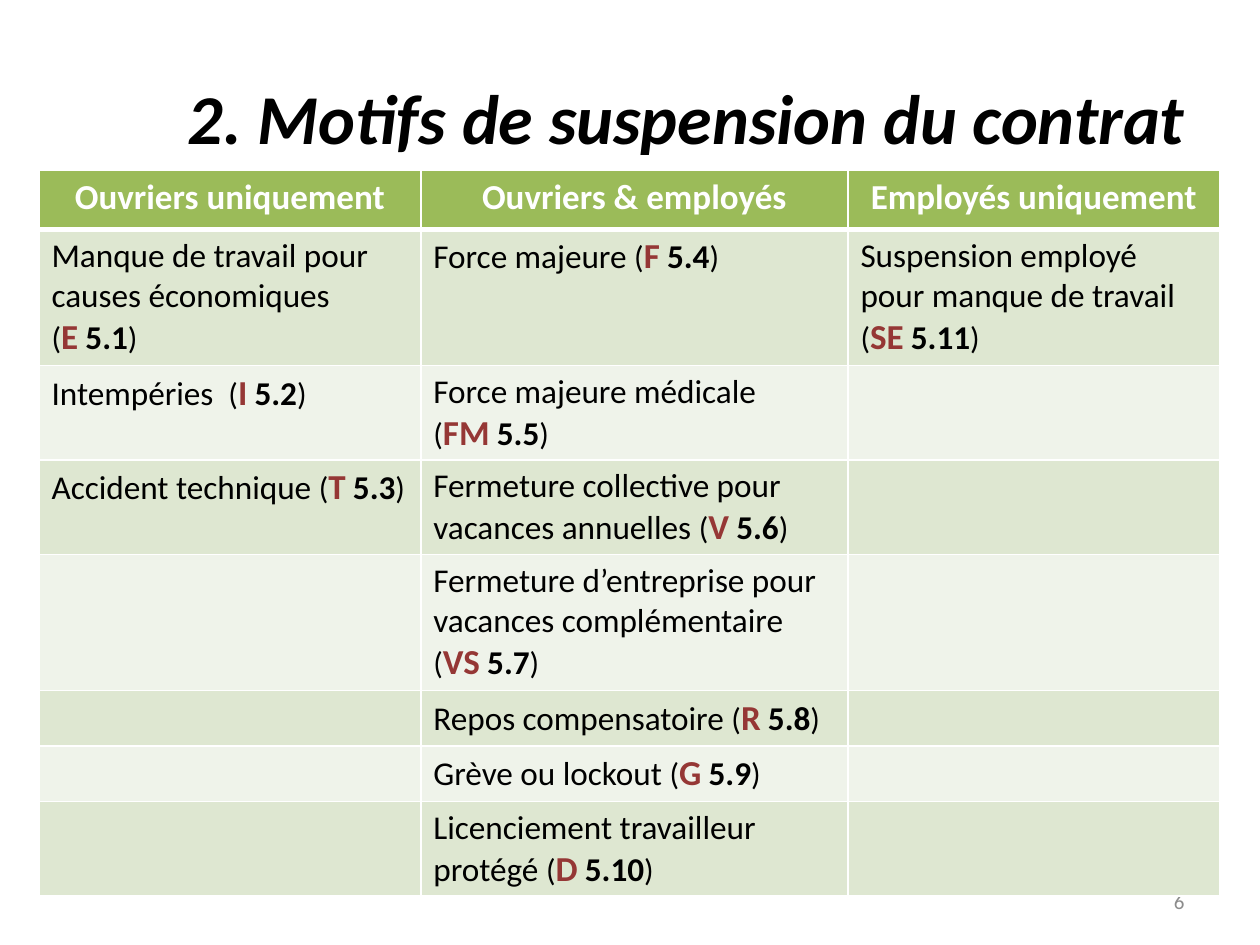
from dataclasses import dataclass

from lxml import etree
from pptx import Presentation
from pptx.dml.color import RGBColor
from pptx.enum.text import MSO_ANCHOR, PP_ALIGN
from pptx.oxml.ns import qn
from pptx.util import Inches, Pt

CENTER, RIGHT, LEFT = PP_ALIGN.CENTER, PP_ALIGN.RIGHT, PP_ALIGN.LEFT
MIDDLE = MSO_ANCHOR.MIDDLE
WIDTH, HEIGHT = 10, 7.5
COLS, ROWS = 100, 75


@dataclass(frozen=True)
class Theme:
    font: str = "Calibri"
    ink: str = "000000"
    white: str = "FFFFFF"
    gray: str = "8C8C8C"
    red: str = "953735"
    green: str = "9BBB59"
    bands: tuple = ("DEE7D1", "EFF3EA")
    title: int = 40
    head: int = 20
    body: int = 19
    mark: int = 18
    note: int = 12
    thin: int = 1
    thick: int = 3


THEME = Theme()
HEADS = ["Ouvriers uniquement", "Ouvriers & employés", "Employés uniquement"]
# Each reason: label, letter code, section, and whether the code starts a new paragraph
REASONS = [
    [("Manque de travail pour causes économiques", "E", "5.1", True),
     ("Force majeure ", "F", "5.4", False),
     ("Suspension employé pour manque de travail ", "SE", "5.11", False)],
    [("Intempéries  ", "I", "5.2", False),
     ("Force majeure médicale", "FM", "5.5", True), None],
    [("Accident technique ", "T", "5.3", False),
     ("Fermeture collective pour vacances annuelles ", "V", "5.6", False), None],
    [None, ("Fermeture d’entreprise pour vacances complémentaire ", "VS", "5.7", False), None],
    [None, ("Repos compensatoire ", "R", "5.8", False), None],
    [None, ("Grève ou lockout ", "G", "5.9", False), None],
    [None, ("Licenciement travailleur protégé ", "D", "5.10", False), None],
]
WIDTHS = [30.3, 33.9, 29.5]
HEIGHTS = [4.7, 10.8, 7.5, 7.5, 10.8, 4.4, 4.4, 7.5]


def across(cols):
    return Inches(WIDTH * cols / COLS)


def down(rows):
    return Inches(HEIGHT * rows / ROWS)


def write(para, text, size=THEME.body, color=THEME.ink, bold=False, italic=False, align=LEFT):
    para.alignment = align
    run = para.add_run()
    run.text = text
    font = run.font
    font.name, font.size, font.bold, font.italic = THEME.font, Pt(size), bold, italic
    font.color.rgb = RGBColor.from_string(color)


class Page:
    def __init__(self, deck, theme):
        self.theme = theme
        self.slide = deck.slides.add_slide(deck.slide_layouts[6])

    def text(self, x, y, w, h, words, **style):
        box = self.slide.shapes.add_textbox(across(x), down(y), across(w), down(h))
        frame = box.text_frame
        frame.word_wrap = True
        frame.vertical_anchor = MIDDLE
        write(frame.paragraphs[0], words, **style)

    def edge(self, cell, base):
        """Draw the four white borders of a cell; base is the width of the bottom one."""
        thin = self.theme.thin
        props = cell._tc.get_or_add_tcPr()
        for side, width in zip("LRTB", (thin, thin, thin, base)):
            line = etree.SubElement(props, qn(f"a:ln{side}"), w=str(Pt(width)))
            fill = etree.SubElement(line, qn("a:solidFill"))
            etree.SubElement(fill, qn("a:srgbClr"), val=self.theme.white)

    def paint(self, cell, color, base):
        self.edge(cell, base)
        cell.fill.solid()
        cell.fill.fore_color.rgb = RGBColor.from_string(color)

    def reason(self, cell, label, code, part, split):
        look = self.theme
        frame = cell.text_frame
        para = frame.paragraphs[0]
        write(para, label)
        if split:
            para = frame.add_paragraph()
        write(para, "(", size=look.mark)
        write(para, code, size=look.head, color=look.red, bold=True)
        write(para, " ", size=look.mark)
        write(para, part, bold=True)
        write(para, ")", size=look.mark)

    def table(self, x, y, heads, rows, widths, heights):
        look = self.theme
        shape = self.slide.shapes.add_table(
            len(heights), len(widths), across(x), down(y),
            across(sum(widths)), down(sum(heights)))
        grid = shape.table
        for col, width in zip(grid.columns, widths):
            col.width = across(width)
        for row, height in zip(grid.rows, heights):
            row.height = down(height)
        for c, head in enumerate(heads):
            cell = grid.cell(0, c)
            self.paint(cell, look.green, look.thick)
            write(cell.text_frame.paragraphs[0], head, size=look.head,
                  color=look.white, bold=True, align=CENTER)
        for r, row in enumerate(rows):
            for c, item in enumerate(row):
                cell = grid.cell(r + 1, c)
                self.paint(cell, look.bands[r % 2], look.thin)
                if item:
                    self.reason(cell, *item)


def main():
    deck = Presentation()
    deck.slide_width, deck.slide_height = Inches(WIDTH), Inches(HEIGHT)
    page = Page(deck, THEME)
    page.text(5, 3, 90, 12.5, "2. Motifs de suspension du contrat",
              size=THEME.title, bold=True, italic=True, align=RIGHT)
    page.text(71.7, 69.5, 23.3, 4, "6", size=THEME.note, color=THEME.gray, align=RIGHT)
    page.table(3.1, 13.5, HEADS, REASONS, WIDTHS, HEIGHTS)
    deck.save("out.pptx")


if __name__ == "__main__":
    main()
